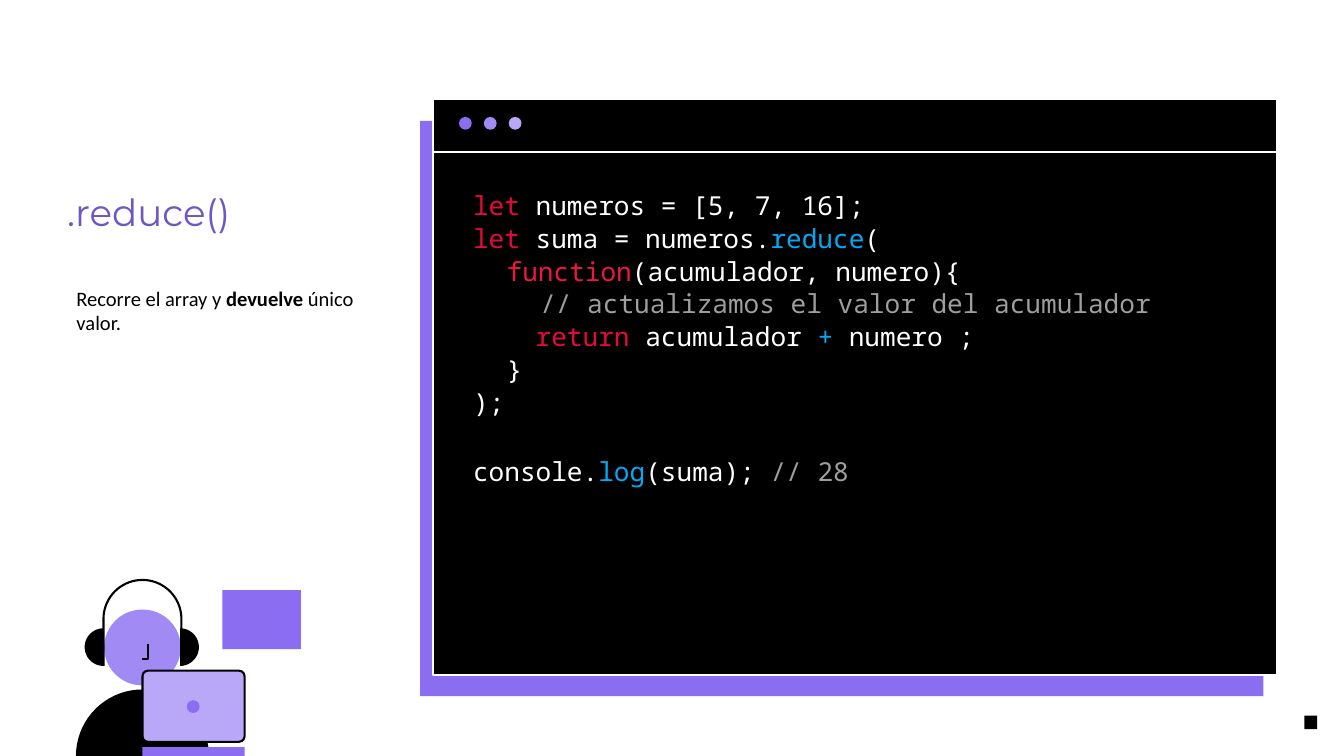
from dataclasses import dataclass
from math import cos, radians, sin

from pptx import Presentation
from pptx.dml.color import RGBColor
from pptx.enum.shapes import MSO_CONNECTOR, MSO_SHAPE
from pptx.enum.text import MSO_ANCHOR, PP_ALIGN
from pptx.oxml.ns import qn
from pptx.util import Emu, Pt
from lxml.etree import SubElement

PX = 9144


@dataclass(frozen=True)
class Theme:
    black: str = "000000"
    white: str = "FFFFFF"
    purple: str = "8A6DF1"
    lilac: str = "A18AF4"
    pale: str = "B9A7F7"
    heading: str = "6E57C1"
    keyword: str = "E50A3B"
    function: str = "EC183F"
    method: str = "03A9F4"
    comment: str = "9E9E9E"
    title_font: str = "Montserrat"
    body_font: str = "Calibri"
    code_font: str = "Noto Sans Mono"
    title_size: int = 40
    body_size: int = 22
    code_size: int = 28
    code_gap: float = 1.5
    blank_line_gap: float = 41


THEME = Theme()

CODE = [
    (0, [("let", THEME.keyword), (" numeros = [5, 7, 16];", THEME.white)]),
    (0, [("let", THEME.keyword), (" suma = numeros.", THEME.white),
         ("reduce", THEME.method), ("(", THEME.white)]),
    (50, [("function", THEME.function), ("(acumulador, numero){", THEME.white)]),
    (100, [("// actualizamos el valor del acumulador", THEME.comment)]),
    (0, [("    ", THEME.white), ("return", THEME.keyword),
         (" acumulador ", THEME.white), ("+", THEME.method),
         (" numero ;", THEME.white)]),
    (50, [("}", THEME.white)]),
    (0, [(");", THEME.white)]),
    (0, [("console.", THEME.white), ("log", THEME.method),
         ("(suma); ", THEME.white), ("// 28", THEME.comment)]),
]


def px(value):
    return Emu(round(value * PX))


def paint(shape, fill=None, line=None, width=2.25):
    shape.shadow.inherit = False
    if fill:
        shape.fill.solid()
        shape.fill.fore_color.rgb = RGBColor.from_string(fill)
    else:
        shape.fill.background()
    if line:
        shape.line.color.rgb = RGBColor.from_string(line)
        shape.line.width = Pt(width)
    else:
        shape.line.fill.background()
    return shape


def add_block(page, kind, left, top, width, height, fill, line=None):
    shape = page.shapes.add_shape(kind, px(left), px(top), px(width), px(height))
    return paint(shape, fill, line)


def add_rectangle(page, *area, fill, line=None):
    return add_block(page, MSO_SHAPE.RECTANGLE, *area, fill, line)


def add_dot(page, *area, fill):
    return add_block(page, MSO_SHAPE.OVAL, *area, fill)


def add_outline(page, points, fill=None, line=None):
    corners = [(px(x), px(y)) for x, y in points]
    builder = page.shapes.build_freeform(*corners[0], scale=1.0)
    builder.add_line_segments(corners[1:], close=fill is not None)
    return paint(builder.convert_to_shape(), fill, line)


def arc(x, y, radius, start, end, steps=36):
    angles = [radians(start + (end - start) * step / steps) for step in range(steps + 1)]
    return [(x + radius * cos(angle), y + radius * sin(angle)) for angle in angles]


def add_rule(page, x1, y1, x2, y2, color):
    rule = page.shapes.add_connector(
        MSO_CONNECTOR.STRAIGHT, px(x1), px(y1), px(x2), px(y2))
    rule.line.color.rgb = RGBColor.from_string(color)
    rule.line.width = Pt(1.5)
    SubElement(rule._element.spPr, qn("a:effectLst"))


def set_frame(box, left, top, right, bottom):
    frame = box.text_frame
    frame.word_wrap = True
    frame.vertical_anchor = MSO_ANCHOR.TOP
    frame.margin_left, frame.margin_top = px(left), px(top)
    frame.margin_right, frame.margin_bottom = px(right), px(bottom)
    return frame


def add_span(para, text, font, size, color, bold=False):
    span = para.add_run()
    span.text = text
    span.font.name = font
    span.font.size = Pt(size)
    span.font.bold = bold
    span.font.color.rgb = RGBColor.from_string(color)


def add_title(page):
    title = page.shapes.title
    title.left, title.top, title.width, title.height = px(100), px(272), px(464), px(84)
    para = set_frame(title, 0, 10, 10, 10).paragraphs[0]
    para.alignment = PP_ALIGN.LEFT
    add_span(para, ".reduce()", THEME.title_font, THEME.title_size, THEME.heading)


def add_description(page):
    box = page.shapes.add_textbox(px(104), px(415), px(464), px(340))
    para = set_frame(box, 10, 10, 10, 10).paragraphs[0]
    for text, bold in [("Recorre el array y ", False), ("devuelve ", True),
                       ("único valor.", False)]:
        add_span(para, text, THEME.body_font, THEME.body_size, THEME.black, bold)


def add_window(page):
    add_rectangle(page, 625, 180, 1255, 856, fill=THEME.purple)
    add_rectangle(page, 645, 148, 1255, 856, fill=THEME.black, line=THEME.white)
    add_rule(page, 646, 226, 1903, 226, THEME.white)
    for index, color in enumerate([THEME.purple, THEME.lilac, THEME.pale]):
        add_dot(page, 683 + 37 * index, 174, 19, 19, fill=color)


def add_code(page):
    box = add_rectangle(page, 690, 282, 1170, 684, fill=THEME.black)
    frame = set_frame(box, 14, 0, 2, 14)
    for index, (indent, spans) in enumerate(CODE):
        para = frame.add_paragraph() if index else frame.paragraphs[0]
        para.alignment = PP_ALIGN.LEFT
        para._p.get_or_add_pPr().set("indent", str(px(indent)))
        if index:
            last = index == len(CODE) - 1
            para.space_before = Pt(THEME.blank_line_gap if last else THEME.code_gap)
        for text, color in spans:
            add_span(para, text, THEME.code_font, THEME.code_size, color)


def add_programmer(page):
    add_rectangle(page, 331, 878, 117, 88, fill=THEME.purple)
    add_outline(page, arc(212, 1125, 99, 180, 360), fill=THEME.black)
    add_dot(page, 155, 907, 114, 113, fill=THEME.lilac)
    add_outline(page, [(220, 958), (220, 980), (212, 980)], line=THEME.black)
    for x, start in [(154, 90), (268, -90)]:
        add_outline(page, arc(x, 963, 28, start, start + 180), fill=THEME.black)
    headband = [(154, 991), *arc(212, 921, 58, 180, 360), (270, 991)]
    add_outline(page, headband, line=THEME.black)
    screen = add_block(page, MSO_SHAPE.ROUNDED_RECTANGLE, 212, 998, 152, 106,
                       THEME.pale, THEME.black)
    screen.adjustments[0] = 0.08
    add_rectangle(page, 212, 1112, 152, 13, fill=THEME.purple)
    add_dot(page, 278, 1042, 19, 19, fill=THEME.purple)


def main():
    deck = Presentation()
    deck.slide_width, deck.slide_height = px(2000), px(1125)
    page = deck.slides.add_slide(deck.slide_layouts[5])
    add_window(page)
    add_rectangle(page, 1941, 1065, 19, 20, fill=THEME.black)
    add_code(page)
    add_programmer(page)
    add_description(page)
    add_title(page)
    deck.save("out.pptx")


if __name__ == "__main__":
    main()
